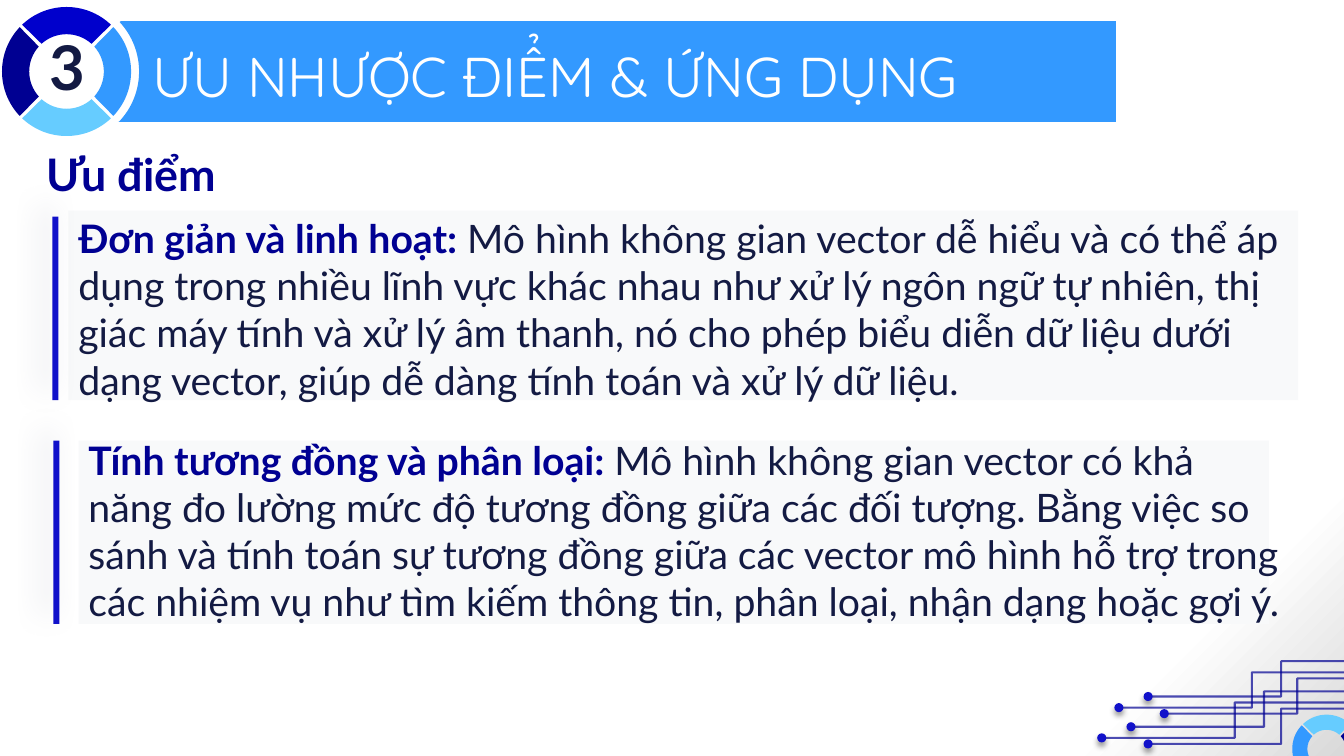
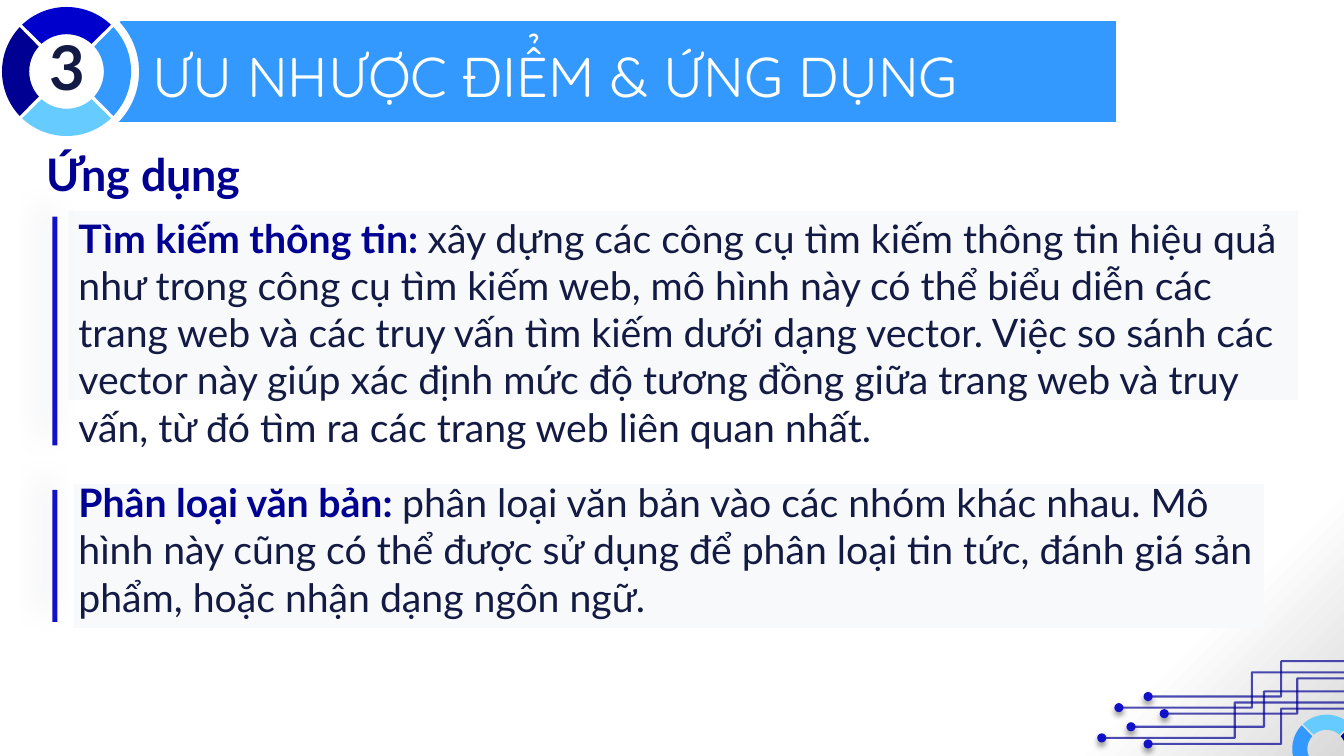
from math import cos, radians, sin, tan

from pptx import Presentation
from pptx.dml.color import RGBColor
from pptx.enum.shapes import MSO_CONNECTOR, MSO_SHAPE
from pptx.enum.text import MSO_ANCHOR, MSO_AUTO_SIZE, PP_ALIGN
from pptx.oxml import parse_xml
from pptx.oxml.ns import nsdecls
from pptx.util import Inches, Pt

NAVY, ROYAL, BLUE, SKY = "000092", "0000CC", "3399FF", "66CCFF"
ACCENT, INK, WHITE, PANEL = "1111CA", "131A43", "FFFFFF", "F8F9FA"
RIGHT, BOTTOM, LEFT, TOP = 0, 90, 180, 270

TITLE = "ƯU NHƯỢC ĐIỂM & ỨNG DỤNG"
TITLE_FONT = {"name": "Quicksand", "size": Pt(40), "bold": False}
NUMBER_FONT = {"name": "Lato", "size": Pt(44), "bold": True}
HEADING_FONT = {"name": "Lato", "size": Pt(32), "bold": True}
LEAD_FONT = {"name": "Lato", "size": Pt(28), "bold": True}
BODY_FONT = {**LEAD_FONT, "bold": False}

BADGE_CENTER = (0.66, 0.71)
BADGE_COLORS = {RIGHT: BLUE, BOTTOM: SKY, LEFT: NAVY, TOP: ROYAL}
CORNER_CENTER = (13.16, 7.43)
CORNER_COLORS = {RIGHT: NAVY, LEFT: BLUE, TOP: SKY}
RING_TURN, BAND_TURN = 46, 46.5
TRACE_STARTS = [(11.1, 7.02), (11.39, 6.91), (11.55, 7.08),
                (10.93, 7.32), (11.22, 7.21), (11.39, 7.38)]
TRACE_RUN, TRACE_RISE, DOT_SIZE = 2.64, 0.35, 0.09
DOT_SHADOW = {"color": "000000", "blur": 4, "distance": 3, "angle": 90}
BAR_SHADOW = {"color": "A1A5B9", "blur": 20, "distance": 10, "angle": 225}

SLIDES = [
    ("Ưu điểm", [
        {"panel": (0.68, 2.09, 12.2, 1.88), "bar": (0.52, 2.15, 0.06, 1.82),
         "box": (0.68, 2.08, 12.23, 1.99),
         "lead": "Đơn giản và linh hoạt:",
         "body": " Mô hình không gian vector dễ hiểu và có thể áp dụng trong nhiều "
                 "lĩnh vực khác nhau như xử lý ngôn ngữ tự nhiên, thị giác máy tính "
                 "và xử lý âm thanh, nó cho phép biểu diễn dữ liệu dưới dạng vector, "
                 "giúp dễ dàng tính toán và xử lý dữ liệu."},
        {"panel": (0.78, 4.37, 11.81, 1.82), "bar": (0.53, 4.37, 0.06, 1.82),
         "box": (0.78, 4.28, 12.03, 1.99),
         "lead": "Tính tương đồng và phân loại:",
         "body": " Mô hình không gian vector có khả năng đo lường mức độ tương đồng "
                 "giữa các đối tượng. Bằng việc so sánh và tính toán sự tương đồng "
                 "giữa các vector mô hình hỗ trợ trong các nhiệm vụ như tìm kiếm "
                 "thông tin, phân loại, nhận dạng hoặc gợi ý."},
    ]),
    ("Ứng dụng", [
        {"panel": (0.68, 2.09, 12.2, 1.88), "bar": (0.52, 2.15, 0.05, 2.27),
         "box": (0.68, 2.08, 12.23, 2.46),
         "lead": "Tìm kiếm thông tin: ",
         "body": "xây dựng các công cụ tìm kiếm thông tin hiệu quả như trong công cụ "
                 "tìm kiếm web, mô hình này có thể biểu diễn các trang web và các "
                 "truy vấn tìm kiếm dưới dạng vector. Việc so sánh các vector này "
                 "giúp xác định mức độ tương đồng giữa trang web và truy vấn, từ đó "
                 "tìm ra các trang web liên quan nhất."},
        {"panel": (0.73, 4.8, 11.81, 1.43), "bar": (0.52, 4.86, 0.05, 1.31),
         "box": (0.68, 4.7, 12.03, 1.51),
         "lead": "Phân loại văn bản: ",
         "body": "phân loại văn bản vào các nhóm khác nhau. Mô hình này cũng có thể "
                 "được sử dụng để phân loại tin tức, đánh giá sản phẩm, hoặc nhận "
                 "dạng ngôn ngữ."},
    ]),
]


def rgb(color):
    """Turn a hex string into a colour."""
    return RGBColor.from_string(color)


def rotate(point, degrees):
    """Rotate a point clockwise about the slide origin."""
    (x, y), angle = point, radians(degrees)
    return x * cos(angle) - y * sin(angle), x * sin(angle) + y * cos(angle)


def arc(center, radius, start, end):
    """Return the first point of an arc and its curve step."""
    reach = 4 / 3 * tan(radians(end - start) / 4)
    local = [((1, 0), start), ((1, reach), start), ((1, -reach), end), ((1, 0), end)]
    points = [rotate((radius * x, radius * y), angle) for (x, y), angle in local]
    first, *curve = [(center[0] + x, center[1] + y) for x, y in points]
    return [[first], curve]


class Deck:
    """Holds the shared style and the slide being drawn."""

    def __init__(self):
        """Start an empty widescreen presentation."""
        self.presentation = Presentation()
        self.presentation.slide_width = Inches(40) // 3
        self.presentation.slide_height = Inches(7.5)
        self.slide = None

    def new_slide(self):
        """Add a slide with the background, badge and title band."""
        layout = self.presentation.slide_layouts[5]
        self.slide = self.presentation.slides.add_slide(layout)
        self.background()
        self.ring(BADGE_CENTER, 0.64, 0.37, BADGE_COLORS)
        self.title()
        self.text((0.26, 0.24, 0.81, 0.84), [("3", NUMBER_FONT, INK)], PP_ALIGN.CENTER)

    def background(self):
        """Shade the slide towards its lower right corner."""
        stops = "".join(
            f'<a:gs pos="{position}"><a:srgbClr val="{color}"/></a:gs>'
            for position, color in ((87000, WHITE), (100000, "D9D9D9")))
        self.slide.element.cSld.insert(0, parse_xml(
            f'<p:bg {nsdecls("p", "a")}><p:bgPr><a:gradFill><a:gsLst>{stops}</a:gsLst>'
            '<a:path path="circle"><a:fillToRect r="100000" b="100000"/></a:path>'
            '</a:gradFill><a:effectLst/></p:bgPr></p:bg>'))

    def paint(self, shape, color, shadow=None):
        """Give a shape a flat fill and, if asked, a soft shadow."""
        shape.fill.solid()
        shape.fill.fore_color.rgb = rgb(color)
        shape.line.fill.background()
        shape.shadow.inherit = False
        if shadow:
            effects = shape.element.spPr.find("{*}effectLst")
            effects.append(parse_xml(
                f'<a:outerShdw {nsdecls("a")} blurRad="{Pt(shadow["blur"])}" '
                f'dist="{Pt(shadow["distance"])}" dir="{shadow["angle"] * 60000}" '
                f'algn="ctr" rotWithShape="0"><a:srgbClr val="{shadow["color"]}">'
                '<a:alpha val="40000"/></a:srgbClr></a:outerShdw>'))
        return shape

    def block(self, kind, frame, color, shadow=None):
        """Add a preset shape."""
        shape = self.slide.shapes.add_shape(kind, *map(Inches, frame))
        return self.paint(shape, color, shadow)

    def outline(self, steps, color, turn):
        """Add a closed outline of lines and curves in a turned frame."""
        points = [rotate(point, -turn) for step in steps for point in step]
        corners = [(Inches(x), Inches(y)) for x, y in points]
        builder = self.slide.shapes.build_freeform(*corners[0])
        builder.add_line_segments(corners[1:], close=True)
        shape = builder.convert_to_shape()
        lines = iter(list(shape.element.iter("{*}lnTo")))
        for step in steps[1:]:
            parts = [next(lines) for _ in step]
            if len(step) == 3:
                curve = parse_xml(f'<a:cubicBezTo {nsdecls("a")}/>')
                parts[0].addprevious(curve)
                for part in parts:
                    curve.append(part[0])
                    part.getparent().remove(part)
        middle = (shape.left + shape.width / 2, shape.top + shape.height / 2)
        x, y = rotate(middle, turn)
        shape.left, shape.top = int(x - shape.width / 2), int(y - shape.height / 2)
        shape.rotation = turn
        return self.paint(shape, color)

    def ring(self, center, outer, inner, colors):
        """Add the quarters of a ring, split along the diagonals."""
        for angle, color in colors.items():
            self.outline(arc(center, outer, angle - 43.5, angle + 43.5)
                         + arc(center, inner, angle + 42, angle - 42), color, RING_TURN)

    def format(self, font, style, color):
        """Apply a style dict and a colour to a font."""
        for name, value in style.items():
            setattr(font, name, value)
        font.color.rgb = rgb(color)

    def fill_text(self, shape, runs, alignment=PP_ALIGN.LEFT):
        """Write one paragraph of formatted runs into a shape."""
        frame_format = {"word_wrap": True, "auto_size": MSO_AUTO_SIZE.NONE,
                        "vertical_anchor": MSO_ANCHOR.TOP}
        for name, value in frame_format.items():
            setattr(shape.text_frame, name, value)
        paragraph = shape.text_frame.paragraphs[0]
        paragraph.alignment = alignment
        for text, style, color in runs:
            run = paragraph.add_run()
            run.text = text
            self.format(run.font, style, color)

    def text(self, frame, runs, alignment=PP_ALIGN.LEFT):
        """Add a text box."""
        shape = self.slide.shapes.add_textbox(*map(Inches, frame))
        self.fill_text(shape, runs, alignment)

    def title(self):
        """Add the band, curved around the badge, and the title over it."""
        edge = arc(BADGE_CENTER, 0.72, 44, -43)
        corners = [[(1.2, 0.21)], [(11.07, 0.21)], [(11.07, 1.21)], [(1.17, 1.21)]]
        band = self.outline(corners + edge, BLUE, BAND_TURN)
        title = self.slide.shapes.title
        frame = zip(("left", "top", "width", "height"), (1.41, 0.36, 9.99, 0.77))
        for name, value in frame:
            setattr(title, name, Inches(value))
        self.fill_text(title, [(TITLE, TITLE_FONT, WHITE)])
        band.element.addnext(title.element)

    def trace(self, x, y):
        """Add one circuit line with its dot."""
        ends = map(Inches, (x, y, x + TRACE_RUN, y - TRACE_RISE))
        connector = self.slide.shapes.add_connector(MSO_CONNECTOR.ELBOW, *ends)
        connector.line.width = Pt(1.5)
        connector.line.color.rgb = rgb(NAVY)
        properties = connector.element.spPr
        properties.find(".//{*}srgbClr").append(
            parse_xml(f'<a:alpha {nsdecls("a")} val="70000"/>'))
        properties.append(parse_xml(f'<a:effectLst {nsdecls("a")}/>'))
        dot = (x - DOT_SIZE / 2, y - DOT_SIZE / 2, DOT_SIZE, DOT_SIZE)
        self.block(MSO_SHAPE.OVAL, dot, ACCENT, DOT_SHADOW)

    def circuit(self):
        """Add the circuit and ring in the lower right corner."""
        self.ring(CORNER_CENTER, 0.34, 0.19, CORNER_COLORS)
        for start in TRACE_STARTS:
            self.trace(*start)

    def heading(self, text):
        """Add the heading under the title band."""
        self.text((0.36, 1.41, 12.86, 0.64), [(text, HEADING_FONT, NAVY)])

    def point(self, panel, bar, box, lead, body):
        """Add a panel with its side bar and text."""
        self.block(MSO_SHAPE.RECTANGLE, panel, PANEL)
        self.text(box, [(lead, LEAD_FONT, NAVY), (body, BODY_FONT, INK)])
        self.block(MSO_SHAPE.RECTANGLE, bar, ACCENT, BAR_SHADOW)


def main():
    """Build and save the slides."""
    deck = Deck()
    for heading, points in SLIDES:
        deck.new_slide()
        for point in points:
            deck.point(**point)
        deck.circuit()
        deck.heading(heading)
    deck.presentation.save("out.pptx")


if __name__ == "__main__":
    main()
